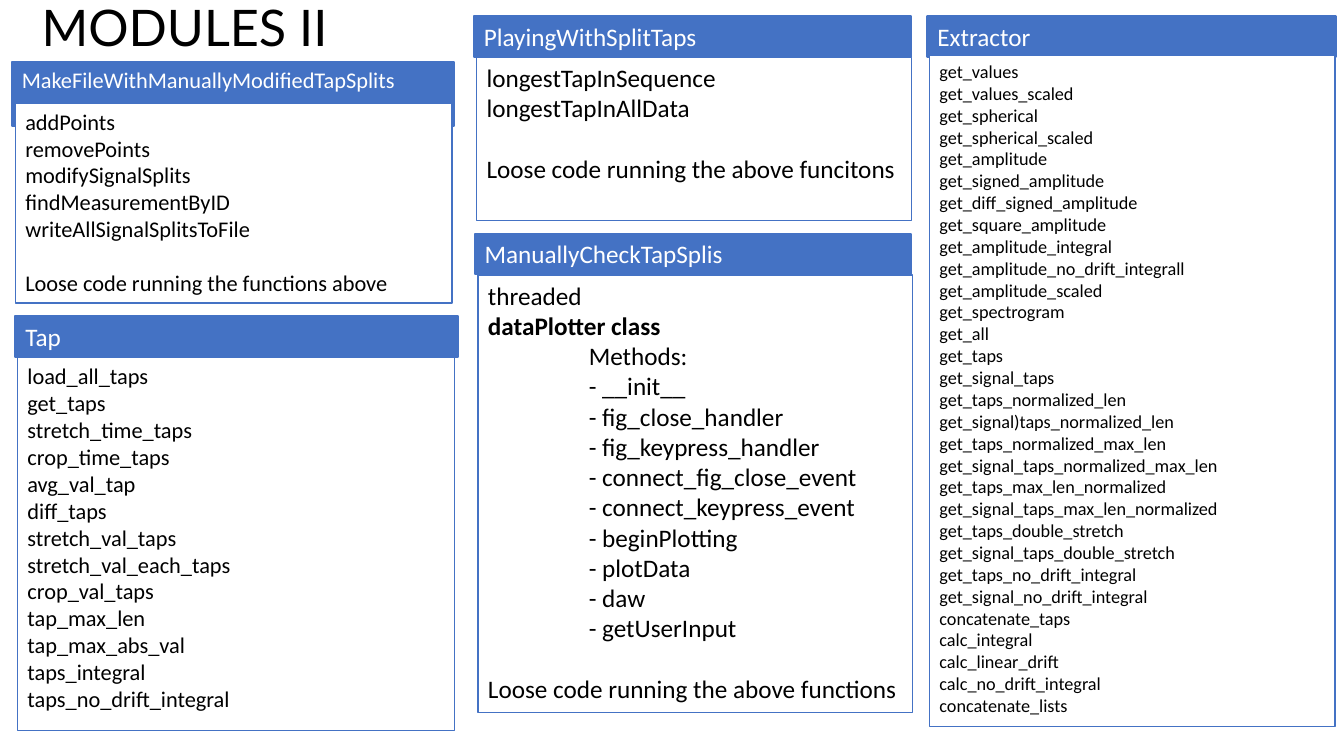
from dataclasses import dataclass
from typing import NamedTuple

from pptx import Presentation, util as u
from pptx.dml import color
from pptx.enum import shapes, text


@dataclass(frozen=True)
class Theme:
    accent: color.RGBColor = color.RGBColor(0x44, 0x72, 0xC4)
    paper: color.RGBColor = color.RGBColor(255, 255, 255)
    ink: color.RGBColor = color.RGBColor(0, 0, 0)
    title_font: str = "Lato"
    font: str = "Calibri"
    title: float = 36
    large: float = 18
    medium: float = 16
    small: float = 13
    line_height: float = 1.22
    header_line: float = 1.5
    body_line: float = 1


THEME = Theme()


class Frame(NamedTuple):
    left: float
    top: float
    width: float
    height: float


class Row(NamedTuple):
    words: str
    bold: bool = False
    indent: float = 0
    gap: bool = False


@dataclass(frozen=True)
class Module:
    name: str
    header: Frame
    body: Frame
    rows: list[Row]
    header_size: float
    body_size: float


def names(words: str) -> list[Row]:
    return [Row(name) for name in words.split()]


def methods(words: str) -> list[Row]:
    return [Row(f"- {name}", indent=72) for name in words.split()]


def place(box, frame: Frame) -> None:
    box.left, box.top, box.width, box.height = map(u.Pt, frame)


def add_span(para, words: str, font: str, size: float,
             ink: color.RGBColor, bold: bool = False) -> None:
    span = para.add_run()
    span.text = words
    span.font.name = font
    span.font.size = u.Pt(size)
    span.font.color.rgb = ink
    span.font.bold = bold
    para.alignment = text.PP_ALIGN.LEFT


def add_box(group, frame: Frame, fill: color.RGBColor, line: float,
            rows: list[Row], size: float, ink: color.RGBColor) -> None:
    box = group.shapes.add_shape(shapes.MSO_SHAPE.RECTANGLE, *map(u.Pt, frame))
    box.shadow.inherit = False
    box.fill.solid()
    box.fill.fore_color.rgb = fill
    box.line.color.rgb = THEME.accent
    box.line.width = u.Pt(line)
    content = box.text_frame
    content.word_wrap = True
    content.vertical_anchor = text.MSO_ANCHOR.TOP
    for index, row in enumerate(rows):
        para = content.add_paragraph() if index else content.paragraphs[0]
        add_span(para, row.words, THEME.font, size, ink, row.bold)
        if row.gap:
            para.space_before = u.Pt(round(size * THEME.line_height, 1))
        if row.indent:
            properties = para._p.get_or_add_pPr()
            properties.set("marL", str(u.Pt(row.indent)))
            properties.set("indent", "0")


def add_module(page, module: Module) -> None:
    group = page.shapes.add_group_shape()
    add_box(group, module.header, THEME.accent, THEME.header_line,
            [Row(module.name)], module.header_size, THEME.paper)
    add_box(group, module.body, THEME.paper, THEME.body_line,
            module.rows, module.body_size, THEME.ink)


def add_title(page, words: str, frame: Frame) -> None:
    title = page.shapes.title
    place(title, frame)
    content = title.text_frame
    content.word_wrap = True
    content.auto_size = text.MSO_AUTO_SIZE.NONE
    content.vertical_anchor = text.MSO_ANCHOR.TOP
    add_span(content.paragraphs[0], words, THEME.title_font, THEME.title, THEME.ink)


MODULES = [
    Module("Extractor", Frame(662.5, 11.5, 291.5, 29), Frame(664, 39.5, 289.5, 479.5),
           names("""
               get_values get_values_scaled get_spherical get_spherical_scaled
               get_amplitude get_signed_amplitude get_diff_signed_amplitude
               get_square_amplitude get_amplitude_integral
               get_amplitude_no_drift_integrall get_amplitude_scaled
               get_spectrogram get_all""")
           + names("""
               get_taps get_signal_taps
               get_taps_normalized_len get_signal)taps_normalized_len
               get_taps_normalized_max_len get_signal_taps_normalized_max_len
               get_taps_max_len_normalized get_signal_taps_max_len_normalized
               get_taps_double_stretch get_signal_taps_double_stretch
               get_taps_no_drift_integral get_signal_no_drift_integral""")
           + names("""
               concatenate_taps calc_integral calc_linear_drift
               calc_no_drift_integral concatenate_lists"""),
           THEME.large, THEME.small),
    Module("Tap", Frame(11, 226, 316, 29), Frame(12.5, 255.5, 312, 266.5),
           names("""
               load_all_taps get_taps stretch_time_taps crop_time_taps
               avg_val_tap diff_taps stretch_val_taps stretch_val_each_taps
               crop_val_taps tap_max_len tap_max_abs_val taps_integral
               taps_no_drift_integral"""),
           THEME.large, THEME.medium),
    Module("MakeFileWithManuallyModifiedTapSplits",
           Frame(8.5, 44, 316, 46), Frame(11, 73.5, 312, 143),
           names("""
               addPoints removePoints modifySignalSplits findMeasurementByID
               writeAllSignalSplitsToFile""")
           + [Row("Loose code running the functions above", gap=True)],
           THEME.medium, THEME.medium),
    Module("ManuallyCheckTapSplis",
           Frame(339, 167, 312, 29), Frame(341.5, 196.5, 310.5, 312.5),
           [Row("threaded"), Row("dataPlotter class", bold=True),
            Row("Methods:", indent=72)]
           + methods("""
               __init__ fig_close_handler fig_keypress_handler
               connect_fig_close_event connect_keypress_event
               beginPlotting plotData daw getUserInput""")
           + [Row("Loose code running the above functions", gap=True)],
           THEME.large, THEME.large),
    Module("PlayingWithSplitTaps",
           Frame(338.5, 11.5, 312, 29), Frame(340.5, 41, 310.5, 116.5),
           names("longestTapInSequence longestTapInAllData")
           + [Row("Loose code running the above funcitons", gap=True)],
           THEME.large, THEME.large),
]

deck = Presentation()
deck.slide_width, deck.slide_height = u.Pt(960), u.Pt(540)
page = deck.slides.add_slide(deck.slide_layouts[5])
add_title(page, "MODULES II", Frame(22.5, -6.5, 244, 51))
for module in MODULES:
    add_module(page, module)
deck.save("out.pptx")
